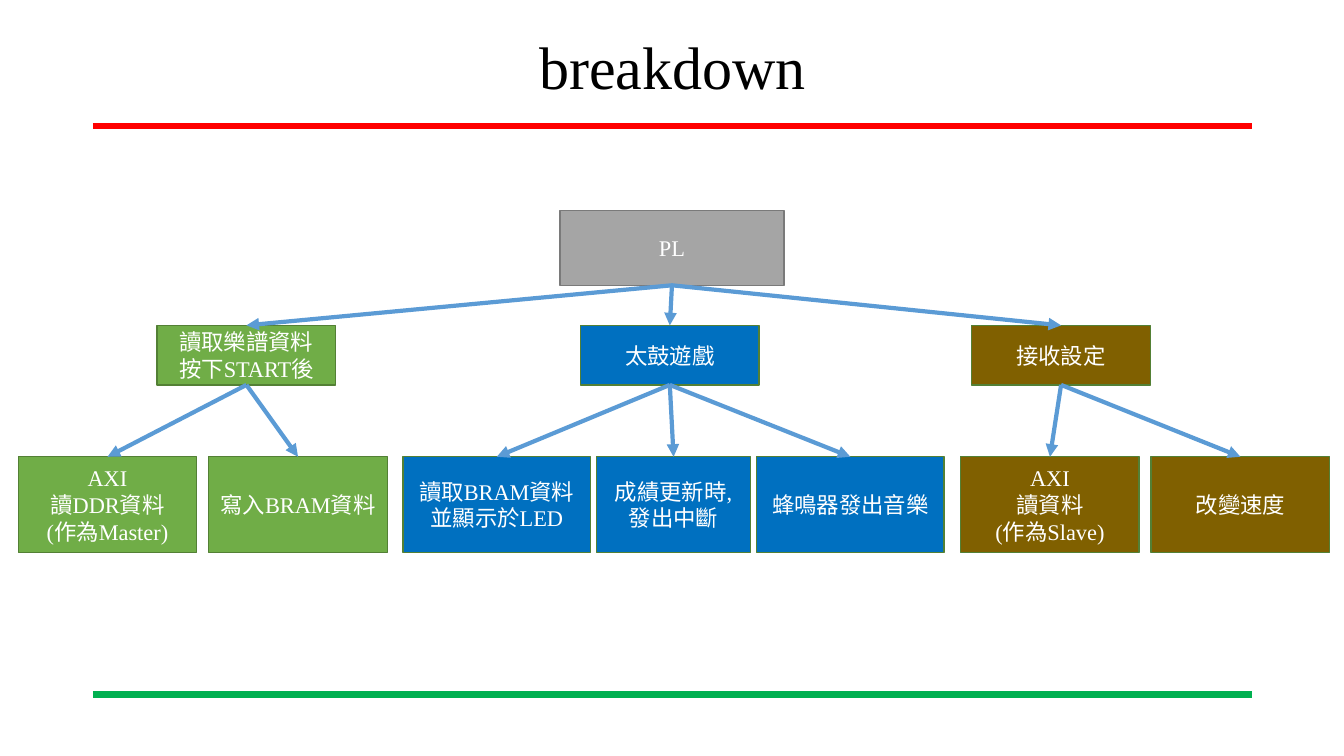
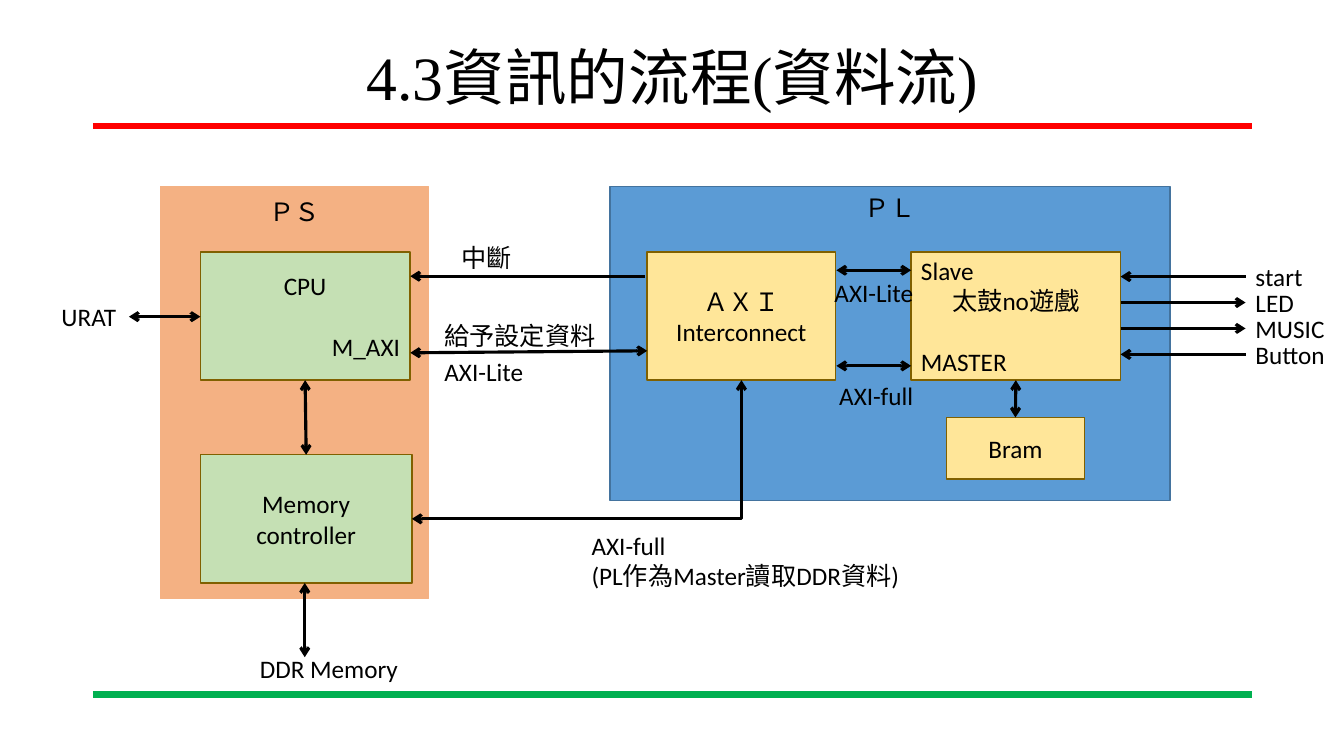
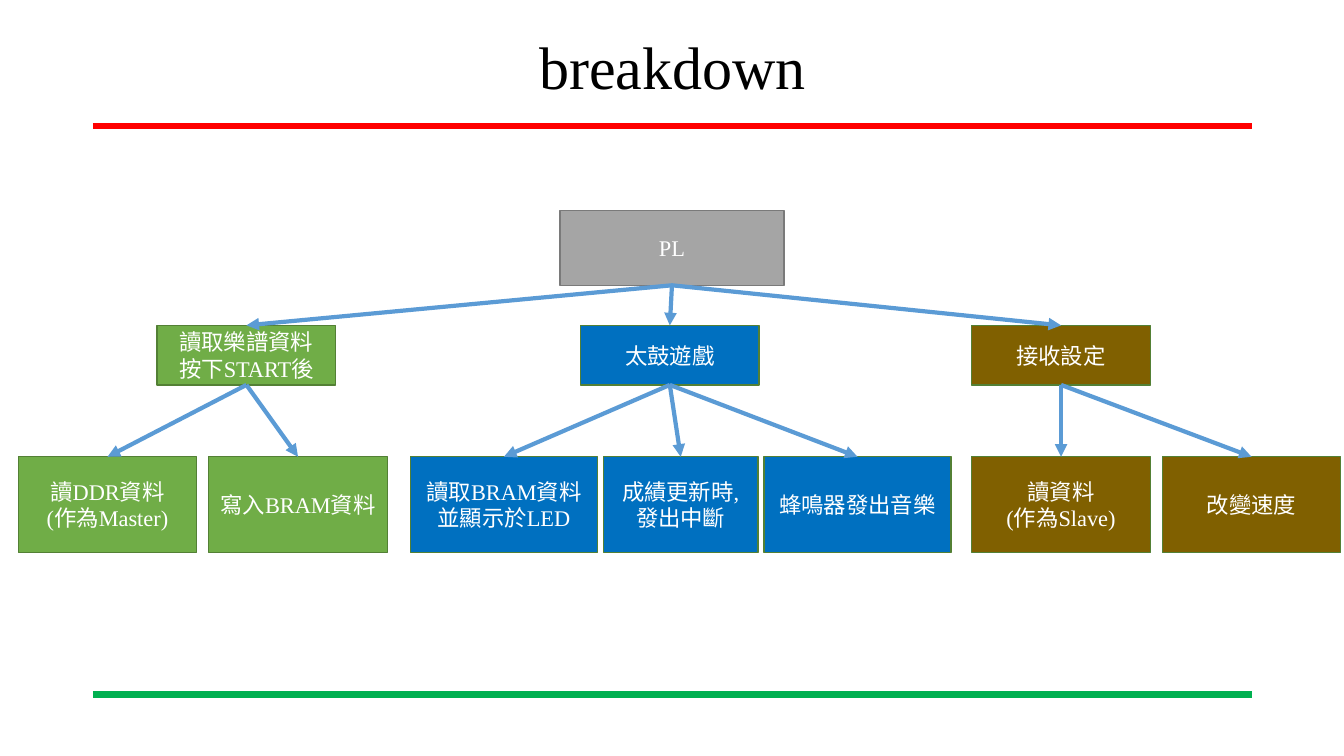
from dataclasses import dataclass

from lxml.etree import SubElement
from pptx import Presentation
from pptx.dml.color import RGBColor
from pptx.enum.shapes import MSO_CONNECTOR as Link, MSO_SHAPE as Preset
from pptx.enum.text import MSO_ANCHOR as Anchor, MSO_AUTO_SIZE as Fit, PP_ALIGN as Align
from pptx.oxml.ns import qn
from pptx.util import Cm, Pt

COLORS = {
    "top_rule": "FF0000", "bottom_rule": "00B050",
    "black": "000000", "white": "FFFFFF",
    "gray": "A5A5A5", "gray_edge": "7A7A7A",
    "green": "70AD47", "blue": "0070C0", "brown": "806000", "tree_edge": "538035",
    "tree_arrow": "5B9BD5",
    "ps": "F4B183", "pl": "5B9BD5", "pl_edge": "43739E",
    "ps_part": "C5E0B4", "pl_part": "FFE699",
}
TREE_FONT = {"name": "Times New Roman", "size": Pt(16)}
FLOW_FONT = {"name": "Calibri", "size": Pt(18)}
TOP, LEFT, BOTTOM, RIGHT = range(4)  # connection sites of a rectangle
LABEL_HEIGHT = 1.02


@dataclass
class Box:
    """A rectangle in centimetres."""
    left: float
    top: float
    width: float
    height: float

    def inside(self, x, y, width, height):
        return Box(self.left + x, self.top + y, width, height)

    def lengths(self):
        return [Cm(v) for v in (self.left, self.top, self.width, self.height)]


SLIDE = Box(0, 0, 33.87, 19.05)
TITLE = Box(2.34, 0.76, 29.21, 2.01)
TREE = Box(0, 5.31, SLIDE.width, 8.61)
PS = Box(4.04, 4.7, 6.76, 10.39)
PL = Box(15.37, 4.7, 14.12, 7.92)
BUS = Box(10.34, 5.97, 5.97, 9.06)
PORTS = Box(28.24, 6.97, 3.15, 1.96)


def color(name):
    return RGBColor.from_string(COLORS[name])


def apply(target, values):
    for name, value in values.items():
        setattr(target, name, value)


def write(frame, lines, font, font_color, align):
    """Fill a text frame; a line is a string or (string, paragraph format)."""
    for index, line in enumerate(lines):
        text, layout = line if isinstance(line, tuple) else (line, {})
        para = frame.paragraphs[0] if index == 0 else frame.add_paragraph()
        apply(para, {"alignment": align, **layout})
        span = para.add_run()
        span.text = text
        apply(span.font, font)
        span.font.color.rgb = color(font_color)


def add_block(page, box, lines, fill, edge, font, font_color="black", **frame_format):
    block = page.shapes.add_shape(Preset.RECTANGLE, *box.lengths())
    block.shadow.inherit = False
    block.fill.solid()
    block.fill.fore_color.rgb = color(fill)
    block.line.color.rgb = color(edge)
    block.line.width = Pt(1)
    apply(block.text_frame, {"vertical_anchor": Anchor.MIDDLE, "word_wrap": True, **frame_format})
    write(block.text_frame, lines, font, font_color, Align.CENTER)
    return block


def add_label(page, box, *lines, wrap=False):
    frame = page.shapes.add_textbox(*box.lengths()).text_frame
    apply(frame, {"word_wrap": wrap, "auto_size": Fit.SHAPE_TO_FIT_TEXT})
    write(frame, lines, FLOW_FONT, "black", Align.LEFT)


def add_line(page, start, end, line_color="black", width=2.25, kind=Link.STRAIGHT,
             head=None, tail=None):
    points = [Cm(v) for v in (*start, *end)]
    line = page.shapes.add_connector(kind, *points)
    line.line.color.rgb = color(line_color)
    line.line.width = Pt(width)
    outline = line.element.spPr.find(qn("a:ln"))
    for tag, style in (("a:headEnd", head), ("a:tailEnd", tail)):
        if style:
            SubElement(outline, qn(tag), type=style)
    SubElement(line.element.spPr, qn("a:effectLst"))
    return line


def join(page, first, first_site, second, second_site, **line_format):
    """Draw a line glued to two blocks."""
    line = add_line(page, (0, 0), (1, 1), **line_format)
    line.begin_connect(first, first_site)
    line.end_connect(second, second_site)
    return line


def add_arrow(page, box, x1, y1, x2, y2, both=False):
    """Draw a black arrow between two points measured from the box corner."""
    add_line(page, (box.left + x1, box.top + y1), (box.left + x2, box.top + y2),
             head="arrow" if both else None, tail="arrow")


def set_up_layout(deck):
    """Give the layout its title place and its two rules."""
    layout = deck.slide_layouts[5]
    left, top, width, height = TITLE.lengths()
    apply(layout.placeholders[0], {"left": left, "top": top, "width": width, "height": height})
    page = deck.slides.add_slide(layout)
    for number, (name, y) in enumerate((("top_rule", 3.18), ("bottom_rule", 17.5)), 20):
        rule = add_line(page, (TITLE.left, y), (TITLE.left + TITLE.width, y), name, 4.5)
        rule.element.nvCxnSpPr.cNvPr.set("id", str(number))
        layout.shapes.element.append(rule.element)
    return page, layout


def set_title(page, text, size, drop=0):
    title = page.shapes.title
    left, top, width, height = TITLE.inside(0, drop, TITLE.width, TITLE.height).lengths()
    apply(title, {"left": left, "top": top, "width": width, "height": height})
    apply(title.text_frame, {"auto_size": Fit.NONE, "vertical_anchor": Anchor.MIDDLE})
    write(title.text_frame, [(text, {"line_spacing": 0.9})],
          {"name": "Times New Roman", "size": Pt(size)}, "black", Align.CENTER)


def draw_tree(page, box, branches):
    """Draw the root, its branches and, under each branch, a row of leaves."""
    style = {"font": TREE_FONT, "font_color": "white"}
    arrow = {"line_color": "tree_arrow", "width": 3, "tail": "triangle"}
    root_box = box.inside((box.width - 5.64) / 2, 0, 5.64, 1.88)
    root = add_block(page, root_box, ["PL"], "gray", "gray_edge", **style)
    for fill, x, lines, leaf_x, gap, leaves in branches:
        branch = add_block(page, box.inside(x, 2.89, 4.5, 1.5), lines, fill, "tree_edge", **style)
        join(page, root, BOTTOM, branch, TOP, **arrow)
        for width, leaf_lines in leaves:
            leaf_box = box.inside(leaf_x, 6.2, width, 2.41)
            leaf = add_block(page, leaf_box, leaf_lines, fill, "tree_edge", **style)
            join(page, branch, BOTTOM, leaf, TOP, **arrow)
            leaf_x += width + gap


def breakdown_slide(page, blue_x, brown_x, bus_lines):
    set_title(page, "breakdown", 42.9)
    draw_tree(page, TREE, [
        ("green", 3.96, ["讀取樂譜資料", "按下START後"], 0.46, 0.3, [
            (4.5, bus_lines + ["讀DDR資料", "(作為Master)"]),
            (4.5, ["寫入BRAM資料"])]),
        ("blue", 14.63, ["太鼓遊戲"], blue_x, 0.15, [
            (4.72, ["讀取BRAM資料", "並顯示於LED"]),
            (3.89, ["成績更新時,發出中斷"]),
            (4.72, ["蜂鳴器發出音樂"])]),
        ("brown", 24.49, ["接收設定"], brown_x, 0.3, [
            (4.5, bus_lines + ["讀資料", "(作為Slave)"]),
            (4.5, ["改變速度"])]),
    ])


def draw_ps(page, box):
    """Draw the processor side with its outer links; return the memory block."""
    add_block(page, box, ["ＰＳ"], "ps", "ps", FLOW_FONT,
              vertical_anchor=Anchor.TOP, margin_top=Cm(0.25))
    cpu = add_block(page, box.inside(1.01, 1.65, 5.28, 3.23),
                    ["CPU", ("M_AXI", {"alignment": Align.RIGHT, "space_before": Pt(22)})],
                    "ps_part", "brown", FLOW_FONT)
    memory = add_block(page, box.inside(1.01, 6.76, 5.33, 3.23), ["Memory controller"],
                       "ps_part", "brown", FLOW_FONT)
    join(page, memory, TOP, cpu, BOTTOM, head="arrow", tail="arrow")
    add_arrow(page, box, 1.01, 3.28, -0.79, 3.28, both=True)
    add_label(page, box.inside(-2.74, 2.77, 1.9, LABEL_HEIGHT), "URAT")
    add_arrow(page, box, 3.64, 11.86, 3.64, 9.99, both=True)
    add_label(page, box.inside(2.26, 11.63, 4.19, LABEL_HEIGHT), "DDR Memory")
    return memory


def draw_pl(page, box):
    """Draw the logic side; return the interconnect block."""
    add_block(page, box, ["ＰＬ"], "pl", "pl_edge", FLOW_FONT,
              vertical_anchor=Anchor.TOP, margin_top=Cm(0.15))
    part = {"fill": "pl_part", "edge": "brown", "font": FLOW_FONT}
    hub = add_block(page, box.inside(0.94, 1.65, 4.75, 3.23), ["ＡＸＩ", "Interconnect"], **part)
    game = add_block(page, box.inside(7.59, 1.65, 5.28, 3.23), [
        ("Slave", {"alignment": Align.LEFT}),
        "太鼓no遊戲",
        ("MASTER", {"alignment": Align.LEFT, "space_before": Pt(22)})], **part)
    bram = add_block(page, box.inside(8.48, 5.82, 3.48, 1.55), ["Bram"], **part)
    join(page, game, BOTTOM, bram, TOP, head="arrow", tail="arrow")
    for y, text, x, label_y, width in ((2.11, "AXI-Lite", 5.41, 2.16, 2.51),
                                       (4.52, "AXI-full", 5.53, 4.75, 2.41)):
        add_arrow(page, box, 5.71, y, 7.59, y, both=True)
        add_label(page, box.inside(x, label_y, width, LABEL_HEIGHT), text)
    return hub


def draw_bus(page, box, memory, hub):
    """Draw the links between the two sides."""
    add_arrow(page, box, 5.92, 0.99, 0, 0.99)
    add_arrow(page, box, box.width, 2.87, 0, 2.92, both=True)
    for x, y, width, text in ((1.04, 0, 1.8, "中斷"),
                              (0.61, 1.98, 4.37, "給予設定資料"),
                              (0.61, 2.89, 2.51, "AXI-Lite")):
        add_label(page, box.inside(x, y, width, LABEL_HEIGHT), text)
    elbow = join(page, memory, RIGHT, hub, BOTTOM, kind=Link.ELBOW, head="arrow", tail="arrow")
    elbow.element.spPr.find(qn("a:prstGeom")).set("prst", "bentConnector2")
    add_label(page, box.inside(4.32, 7.26, 9.65, 1.8),
              "AXI-full", "(PL作為Master讀取DDR資料)", wrap=True)


def draw_ports(page, box):
    ports = (("start", 1.7, True), ("LED", 1.5, False),
             ("MUSIC", 2.26, False), ("Button", 2.29, True))
    step = box.height / (len(ports) - 1)
    for index, (text, width, incoming) in enumerate(ports):
        y = index * step
        ends = (box.width, 0) if incoming else (0, box.width)
        add_arrow(page, box, ends[0], y, ends[1], y)
        add_label(page, box.inside(box.width, y - 0.5, width, LABEL_HEIGHT), text)


def flow_slide(page):
    set_title(page, "4.3資訊的流程(資料流)", 44, drop=0.26)
    memory = draw_ps(page, PS)
    hub = draw_pl(page, PL)
    draw_bus(page, BUS, memory, hub)
    draw_ports(page, PORTS)


def main():
    deck = Presentation()
    deck.slide_width, deck.slide_height = Cm(SLIDE.width), Cm(SLIDE.height)
    first_page, layout = set_up_layout(deck)
    breakdown_slide(first_page, 10.16, 24.21, ["AXI"])
    flow_slide(deck.slides.add_slide(layout))
    breakdown_slide(deck.slides.add_slide(layout), 10.34, 24.49, [])
    deck.save("out.pptx")


if __name__ == "__main__":
    main()
